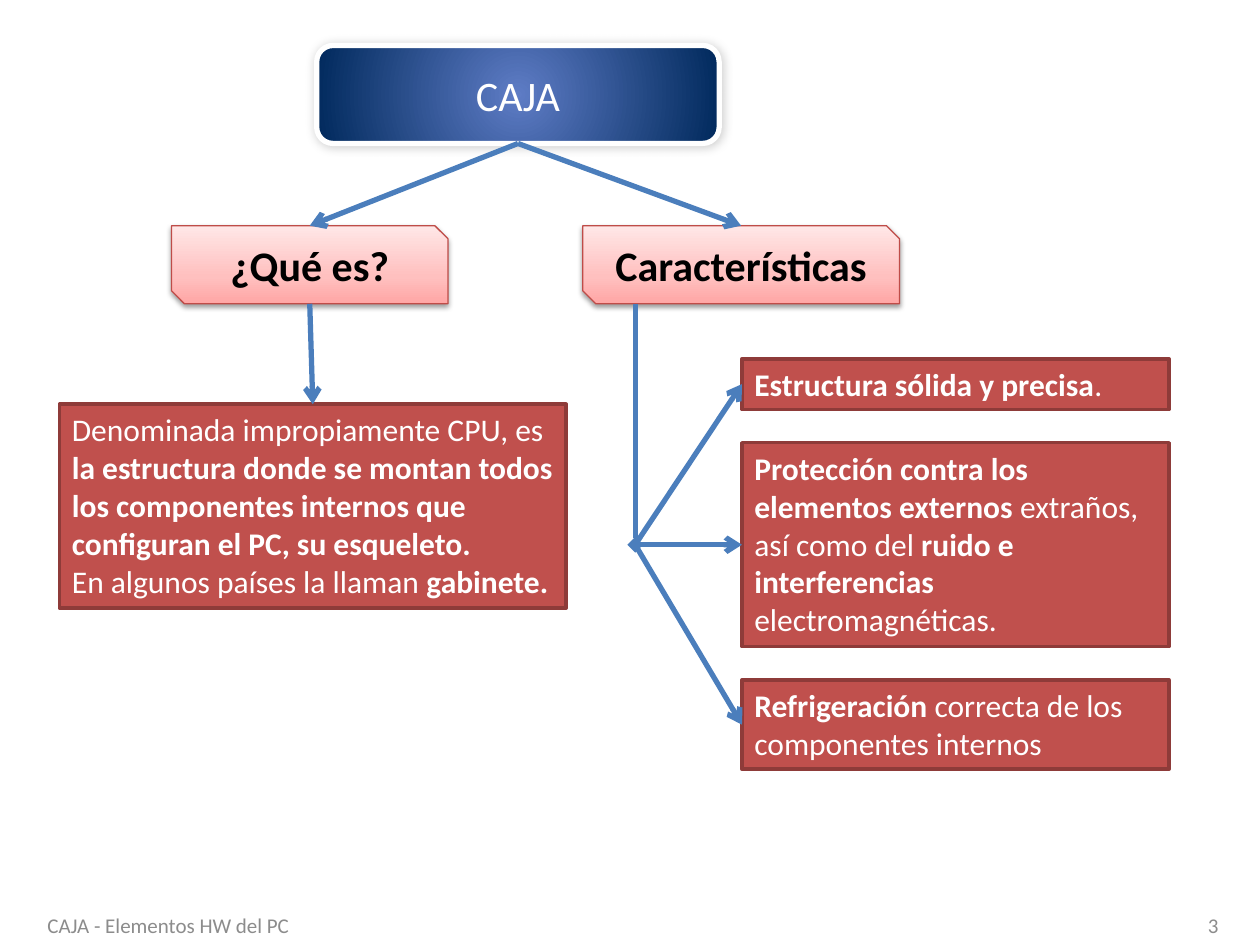
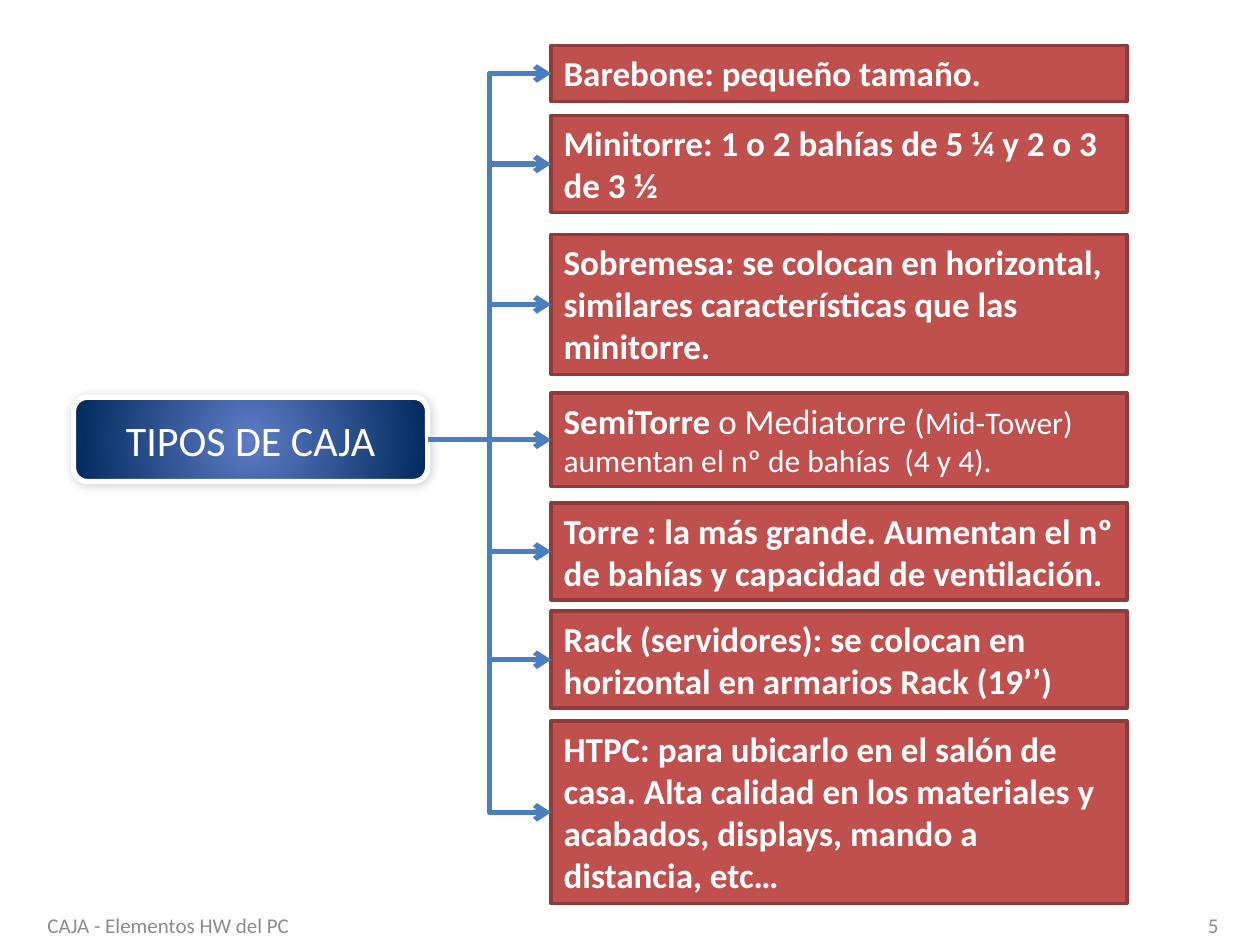
"""Two concept maps about computer cases."""
from lxml import etree
from pptx import Presentation, util as u
from pptx.dml import color
from pptx.enum import shapes, text
from pptx.oxml import ns, parse_xml

Pt = u.Pt
FONT = "Calibri"
WHITE, BLACK, GREY = "FFFFFF", "000000", "8C8C8C"
BLUE, RED, EDGE, ROSE = "4B7EBC", "C0504D", "8E3B39", "BF4C48"
NAVY = [(0, "5E7CC5"), (100, "00295C")]
PINK = [(0, "FFA6A5"), (35, "FFC0BF"), (100, "FFE7E7")]
RADIAL = ('<a:path path="circle"><a:fillToRect l="50000" t="50000" '
          'r="50000" b="50000"/></a:path>')
RISING = '<a:lin ang="16200000" scaled="0"/>'


def rgb(code):
    """Turn a hex string into a colour."""
    return color.RGBColor.from_string(code)


def style(run, size, ink, bold=False):
    """Format one run."""
    font = run.font
    font.name, font.size, font.bold = FONT, Pt(size), bold
    font.color.rgb = rgb(ink)


def label(frame, words, size, ink, align, bold=False):
    """Write one line, centred vertically in its frame."""
    frame.word_wrap = True
    frame.vertical_anchor = text.MSO_ANCHOR.MIDDLE
    frame.text = words
    para = frame.paragraphs[0]
    para.alignment = align
    style(para.runs[0], size, ink, bold)


def rich(frame, lines, size):
    """Write paragraphs in which asterisks switch bold on and off."""
    for i, line in enumerate(lines):
        para = frame.add_paragraph() if i else frame.paragraphs[0]
        para.alignment = text.PP_ALIGN.LEFT
        for j, part in enumerate(line.split("*")):
            if part:
                run = para.add_run()
                run.text = part
                style(run, size, WHITE, j % 2 == 1)


def shape(slide, kind, box, edge, width):
    """Add an outlined shape without a shadow."""
    item = slide.shapes.add_shape(kind, *map(Pt, box))
    item.shadow.inherit = False
    item.line.color.rgb = rgb(edge)
    item.line.width = Pt(width)
    return item


def shade(item, stops, path):
    """Fill a shape with a gradient."""
    item.fill.gradient()
    old = item._element.spPr.find(ns.qn("a:gradFill"))
    marks = "".join(f'<a:gs pos="{pos * 1000}"><a:srgbClr val="{code}"/></a:gs>'
                    for pos, code in stops)
    new = parse_xml(f'<a:gradFill {ns.nsdecls("a")} rotWithShape="1">'
                    f'<a:gsLst>{marks}</a:gsLst>{path}</a:gradFill>')
    old.getparent().replace(old, new)


def drop(item, alpha, blur, dist, angle):
    """Give a shape a soft black shadow."""
    effects = item._element.spPr.find(ns.qn("a:effectLst"))
    effects.append(parse_xml(
        f'<a:outerShdw {ns.nsdecls("a")} blurRad="{Pt(blur)}" '
        f'dist="{Pt(dist)}" dir="{angle * 60000}" algn="ctr" rotWithShape="0">'
        f'<a:srgbClr val="{BLACK}"><a:alpha val="{alpha * 1000}"/></a:srgbClr>'
        '</a:outerShdw>'))


def root(slide, box, words):
    """Place the navy box a map starts from."""
    item = shape(slide, shapes.MSO_SHAPE.ROUNDED_RECTANGLE, box, WHITE, 3)
    shade(item, NAVY, RADIAL)
    drop(item, 20, 6, 1, 45)
    label(item.text_frame, words, 24, WHITE, text.PP_ALIGN.CENTER)
    return item


def branch(slide, box, words):
    """Place a pink heading with snipped corners."""
    item = shape(slide, shapes.MSO_SHAPE.SNIP_2_DIAG_RECTANGLE, box, ROSE, 0.75)
    shade(item, PINK, RISING)
    drop(item, 38, 3.1, 1.6, 90)
    label(item.text_frame, words, 24, BLACK, text.PP_ALIGN.CENTER, True)
    return item


def note(slide, box, lines, size):
    """Place a red box of running text."""
    item = shape(slide, shapes.MSO_SHAPE.RECTANGLE, box, EDGE, 2)
    item.fill.solid()
    item.fill.fore_color.rgb = rgb(RED)
    frame = item.text_frame
    frame.word_wrap = True
    frame.vertical_anchor = text.MSO_ANCHOR.TOP
    frame.auto_size = text.MSO_AUTO_SIZE.SHAPE_TO_FIT_TEXT
    rich(frame, lines, size)
    return item


def side(item, name):
    """Return the middle of one side of a shape."""
    fx, fy = {"top": (0.5, 0), "left": (0, 0.5),
              "base": (0.5, 1), "right": (1, 0.5)}[name]
    return int(item.left + fx * item.width), int(item.top + fy * item.height)


def link(slide, start, end, head="arrow", kind=shapes.MSO_CONNECTOR.STRAIGHT):
    """Join two points with a blue line that ends in a head."""
    line = slide.shapes.add_connector(kind, *start, *end)
    line.line.color.rgb = rgb(BLUE)
    line.line.width = Pt(3)
    props = line._element.spPr
    tip = etree.SubElement(props.find(ns.qn("a:ln")), ns.qn("a:tailEnd"))
    tip.set("type", head)
    etree.SubElement(props, ns.qn("a:effectLst"))
    return line


def footer(slide, box, number):
    """Place the running title and the slide number."""
    x, y, w, h = box
    parts = [(x, 443, "CAJA - Elementos HW del PC", text.PP_ALIGN.LEFT),
             (x + w - 148, 148, f"{number} ", text.PP_ALIGN.RIGHT)]
    for left, wide, words, align in parts:
        item = slide.shapes.add_textbox(*map(Pt, (left, y, wide, h)))
        label(item.text_frame, words, 12, GREY, align)


def concept(slide, box):
    """Map what a case is and which traits it has."""
    x, y, w, h = box
    top = root(slide, (x + 147, y, 230, 56), "CAJA")
    what = branch(slide, (x + 64, y + 103, 158, 44.6), "¿Qué es?")
    trait = branch(slide, (x + 299, y + 103, 181, 44.6), "Características")
    about = note(slide, (x, y + 205, 289.5, 116.6), [
        "Denominada impropiamente CPU, es *la estructura donde se montan "
        "todos los componentes internos que configuran el PC, su esqueleto.*",
        "En algunos países la llaman *gabinete.*"], 18)

    wide, gap, row = 244, 19, y + 179
    notes = []
    for tall, words in [
            (29, "*Estructura sólida y precisa*."),
            (116.6, "*Protección contra los elementos externos *extraños, "
                    "así como del *ruido e interferencias *electromagnéticas."),
            (51, "*Refrigeración *correcta de los componentes internos")]:
        notes.append(note(slide, (x + w - wide, row, wide, tall), [words], 18))
        row += tall + gap

    for item in (what, trait):
        link(slide, side(top, "base"), side(item, "top"))
    link(slide, side(what, "base"), side(about, "top"))
    hub = Pt(x + 329), side(notes[1], "left")[1]
    link(slide, (hub[0], side(trait, "base")[1]), hub, "diamond")
    for item in notes:
        link(slide, hub, side(item, "left"))


def types(slide, box):
    """Map the kinds of case as a tree that opens to the right."""
    x, y, w, h = box
    top = root(slide, (x, y + 201, 202.4, 48.2), "TIPOS DE CAJA")
    wide = 329
    rows = [
        (0, 32, "*Barebone: pequeño tamaño.*"),
        (40, 55.4, "*Minitorre: 1 o 2 bahías de 5 ¼ y 2 o 3 de 3 ½ *"),
        (108, 80, "*Sobremesa: se colocan en horizontal, similares "
                  "características que las minitorre.*"),
        (198.7, 53.3, "*SemiTorre *o Mediatorre (**Mid-Tower) "
                      "aumentan el nº de bahías  (4 y 4)."),
        (261.4, 55.4, "*Torre : la más grande. Aumentan el nº de bahías y "
                      "capacidad de ventilación.*"),
        (323.3, 55.4, "*Rack (servidores): se colocan en horizontal en "
                      "armarios Rack (19’’)*"),
        (386, 104.4, "*HTPC: para ubicarlo en el salón de casa. Alta calidad "
                     "en los materiales y acabados, displays, mando a "
                     "distancia, etc…*")]
    notes = [note(slide, (x + w - wide, y + dy, wide, tall), [words], 20)
             for dy, tall, words in rows]
    notes[3].text_frame.paragraphs[0].runs[-1].font.size = Pt(18)
    for item in notes:
        line = link(slide, side(top, "right"), side(item, "left"),
                    kind=shapes.MSO_CONNECTOR.ELBOW)
        line.begin_connect(top, 3)
        line.end_connect(item, 1)


deck = Presentation()
deck.slide_width, deck.slide_height = Pt(720), Pt(540)
for number, build, box in [(3, concept, (34, 26, 634, 414)),
                           (5, types, (42, 26, 602, 490))]:
    page = deck.slides.add_slide(deck.slide_layouts[6])
    footer(page, (20, 518.5, 686, 20), number)
    build(page, box)
deck.save("out.pptx")
